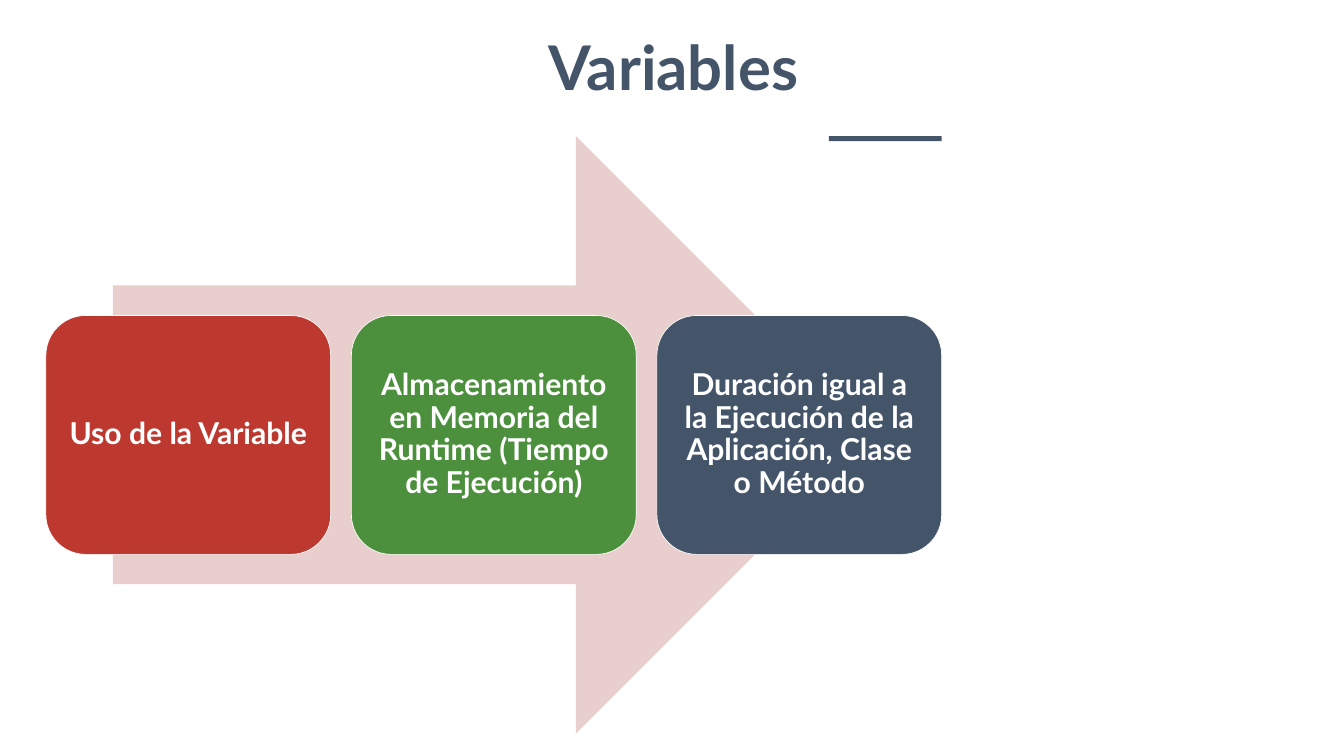
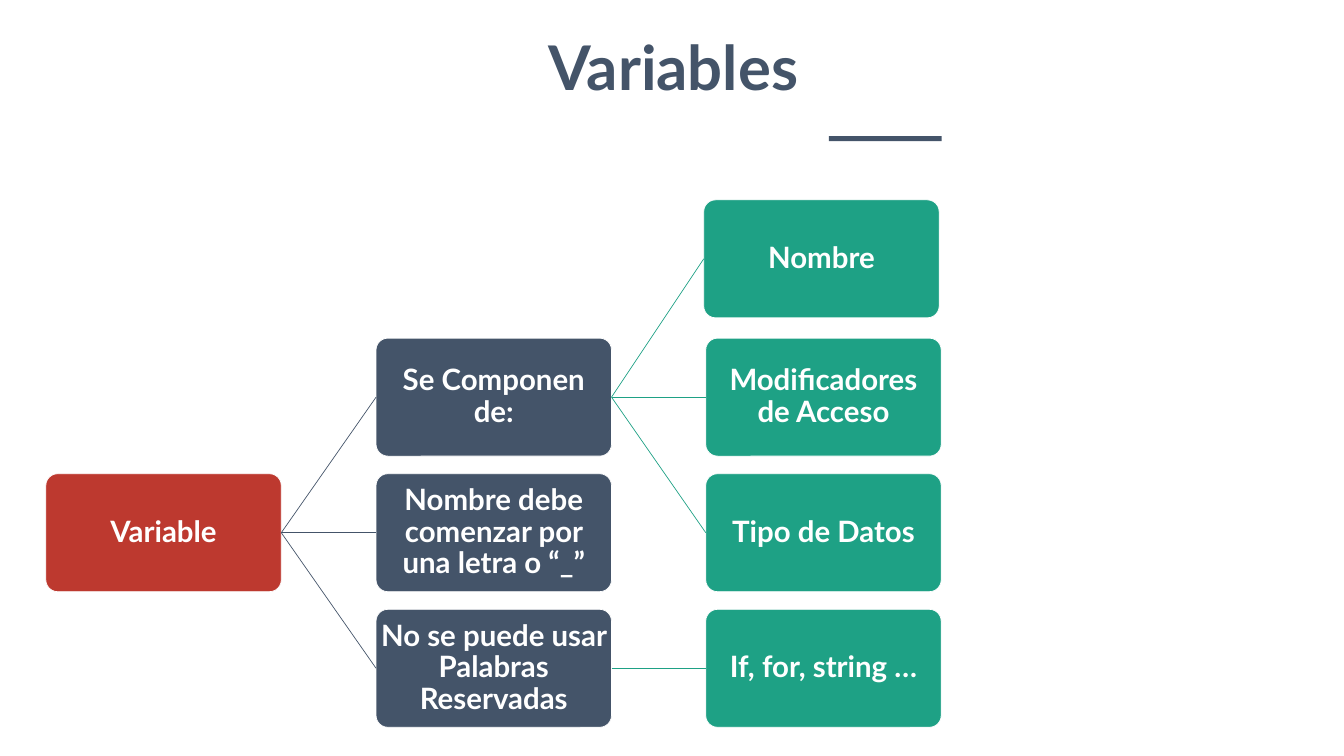
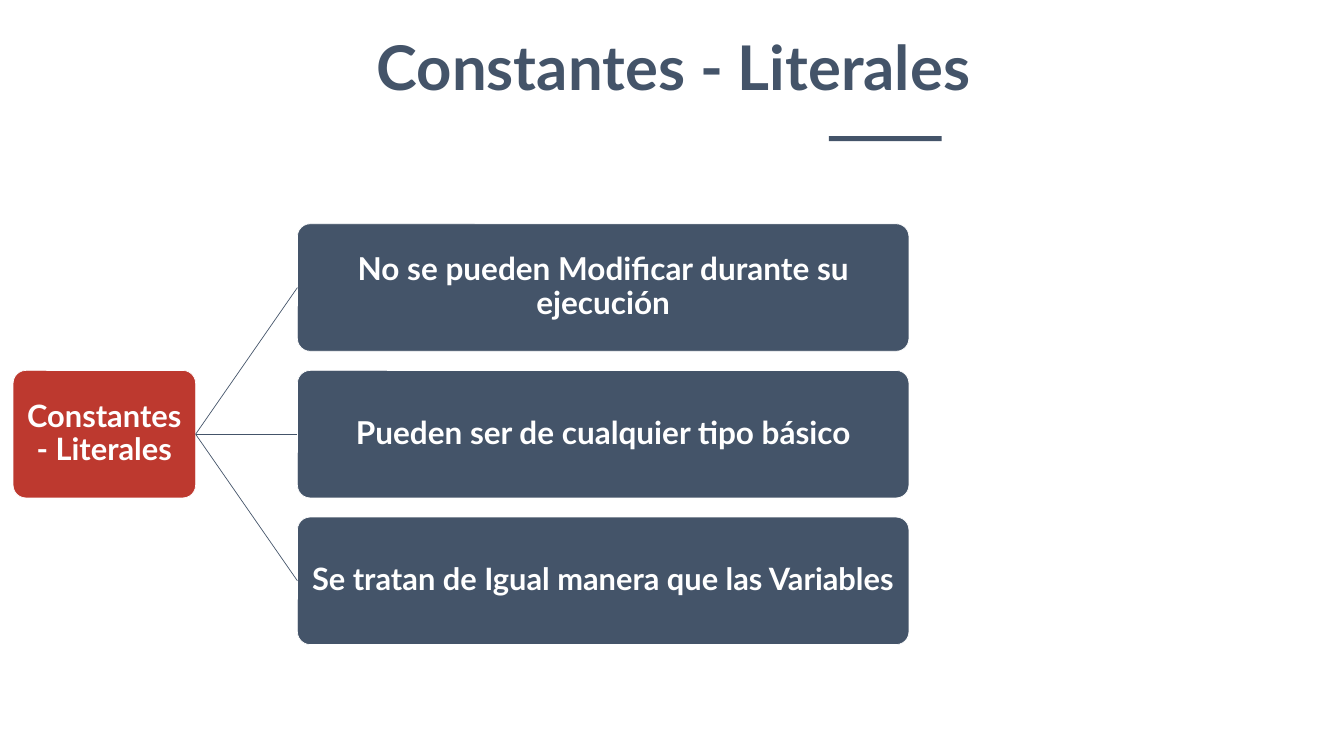
"""Builds three slides on variables and constants: a process arrow and two trees."""
from lxml import etree
from pptx import Presentation
from pptx.dml.color import RGBColor
from pptx.enum import shapes, text
from pptx.oxml import ns
from pptx.util import Inches, Pt

FONT = "Lato"
NAVY = RGBColor(0x44, 0x54, 0x69)
RED = RGBColor(0xBD, 0x39, 0x2F)
GREEN = RGBColor(0x4C, 0x90, 0x3D)
TEAL = RGBColor(0x1E, 0xA1, 0x85)
PINK = RGBColor(0xE8, 0xCE, 0xCD)
WHITE = RGBColor(0xFF, 0xFF, 0xFF)

SLIDE_SIZE = (26.66, 15)
TITLE_BOX = (0.26, 0.53, 26.2, 1.58)
ACCENT_BAR = (16.44, 2.7, 2.24, 0.1)
ARROW_BOX = (2.24, 2.7, 15.11, 11.85)

STEP_LEFT, STEP_TOP, STEP_PITCH = 0.91, 6.26, 6.06
STEP_SIZE = (5.65, 4.74)
STEPS = [
    ("Uso de la Variable", RED),
    ("Almacenamiento en Memoria del Runtime (Tiempo de Ejecución)", GREEN),
    ("Duración igual a la Ejecución de la Aplicación, Clase o Método", NAVY),
]

# Columns hold left, width and colour; nodes hold text, column, row, parent and font size.
VARIABLE_TREE = {
    "top": 6.71, "pitch": 2.69, "height": 2.34,
    "columns": {
        "root": (0.91, 4.67, RED),
        "rule": (7.46, 4.67, NAVY),
        "name": (13.96, 4.67, TEAL),
        "detail": (14, 4.67, TEAL),
    },
    "nodes": [
        ("Variable", "root", 1, None, 42),
        ("Se Componen de:", "rule", 0, 0, 42),
        ("Nombre", "name", -1.02, 1, 42),
        ("Modificadores de Acceso", "detail", 0, 1, 42),
        ("Tipo de Datos", "detail", 1, 1, 42),
        ("Nombre debe comenzar por una letra o “_”", "rule", 1, 0, 42),
        ("No se puede usar Palabras Reservadas", "rule", 2, 0, 42),
        ("If, for, string …", "detail", 2, 6, 42),
    ],
}
CONSTANT_TREE = {
    "top": 4.44, "pitch": 2.91, "height": 2.53,
    "columns": {"root": (0.26, 3.62, RED), "rule": (5.9, 12.13, NAVY)},
    "nodes": [
        ("Constantes - Literales", "root", 1, None, 44),
        ("No se pueden Modificar durante su ejecución", "rule", 0, 0, 45),
        ("Pueden ser de cualquier tipo básico", "rule", 1, 0, 45),
        ("Se tratan de Igual manera que las Variables", "rule", 2, 0, 44),
    ],
}


def write(shape, content, size, color, margins, anchor):
    frame = shape.text_frame
    frame.word_wrap = True
    frame.auto_size = text.MSO_AUTO_SIZE.NONE
    frame.vertical_anchor = anchor
    frame.margin_left = frame.margin_right = Inches(margins[0])
    frame.margin_top = frame.margin_bottom = Inches(margins[1])
    frame.text = content
    paragraph = frame.paragraphs[0]
    paragraph.alignment = text.PP_ALIGN.CENTER
    font = paragraph.font
    font.name, font.size, font.bold = FONT, Pt(size), True
    font.color.rgb = color
    return paragraph


def add_filled(slide, kind, box, color):
    shape = slide.shapes.add_shape(kind, *map(Inches, box))
    shape.shadow.inherit = False
    shape.fill.solid()
    shape.fill.fore_color.rgb = color
    shape.line.fill.background()
    return shape


def add_block(slide, box, color, content, size, margin):
    block = add_filled(slide, shapes.MSO_SHAPE.ROUNDED_RECTANGLE, box, color)
    block.line.color.rgb = WHITE
    block.line.width = Pt(1)
    paragraph = write(block, content, size, WHITE, (margin, margin), text.MSO_ANCHOR.MIDDLE)
    paragraph.line_spacing = 0.9
    return block


def add_titled_slide(presentation, title):
    slide = presentation.slides.add_slide(presentation.slide_layouts[5])
    heading = slide.shapes.title
    heading.left, heading.top, heading.width, heading.height = map(Inches, TITLE_BOX)
    write(heading, title, 88, NAVY, (0.1, 0.05), text.MSO_ANCHOR.TOP)
    add_filled(slide, shapes.MSO_SHAPE.RECTANGLE, ACCENT_BAR, NAVY)
    return slide


def join(slide, parent, child, color):
    connector = slide.shapes.add_connector(shapes.MSO_CONNECTOR.STRAIGHT, 0, 0, 0, 0)
    connector.begin_connect(parent, 3)
    connector.end_connect(child, 1)
    connector.line.color.rgb = color
    connector.line.width = Pt(1)
    etree.SubElement(connector._element.spPr, ns.qn("a:effectLst"))


def add_process(slide):
    add_filled(slide, shapes.MSO_SHAPE.RIGHT_ARROW, ARROW_BOX, PINK)
    for index, (content, color) in enumerate(STEPS):
        box = (STEP_LEFT + index * STEP_PITCH, STEP_TOP, *STEP_SIZE)
        add_block(slide, box, color, content, 43, 0.18)


def add_tree(slide, tree):
    blocks = []
    for content, column, row, parent, size in tree["nodes"]:
        left, width, color = tree["columns"][column]
        box = (left, tree["top"] + row * tree["pitch"], width, tree["height"])
        block = add_block(slide, box, color, content, size, 0.03)
        block.adjustments[0] = 0.1
        blocks.append(block)
        if parent is not None:
            join(slide, blocks[parent], block, color)


def main():
    presentation = Presentation()
    presentation.slide_width, presentation.slide_height = map(Inches, SLIDE_SIZE)
    add_process(add_titled_slide(presentation, "Variables"))
    add_tree(add_titled_slide(presentation, "Variables"), VARIABLE_TREE)
    add_tree(add_titled_slide(presentation, "Constantes - Literales"), CONSTANT_TREE)
    presentation.save("out.pptx")


if __name__ == "__main__":
    main()
